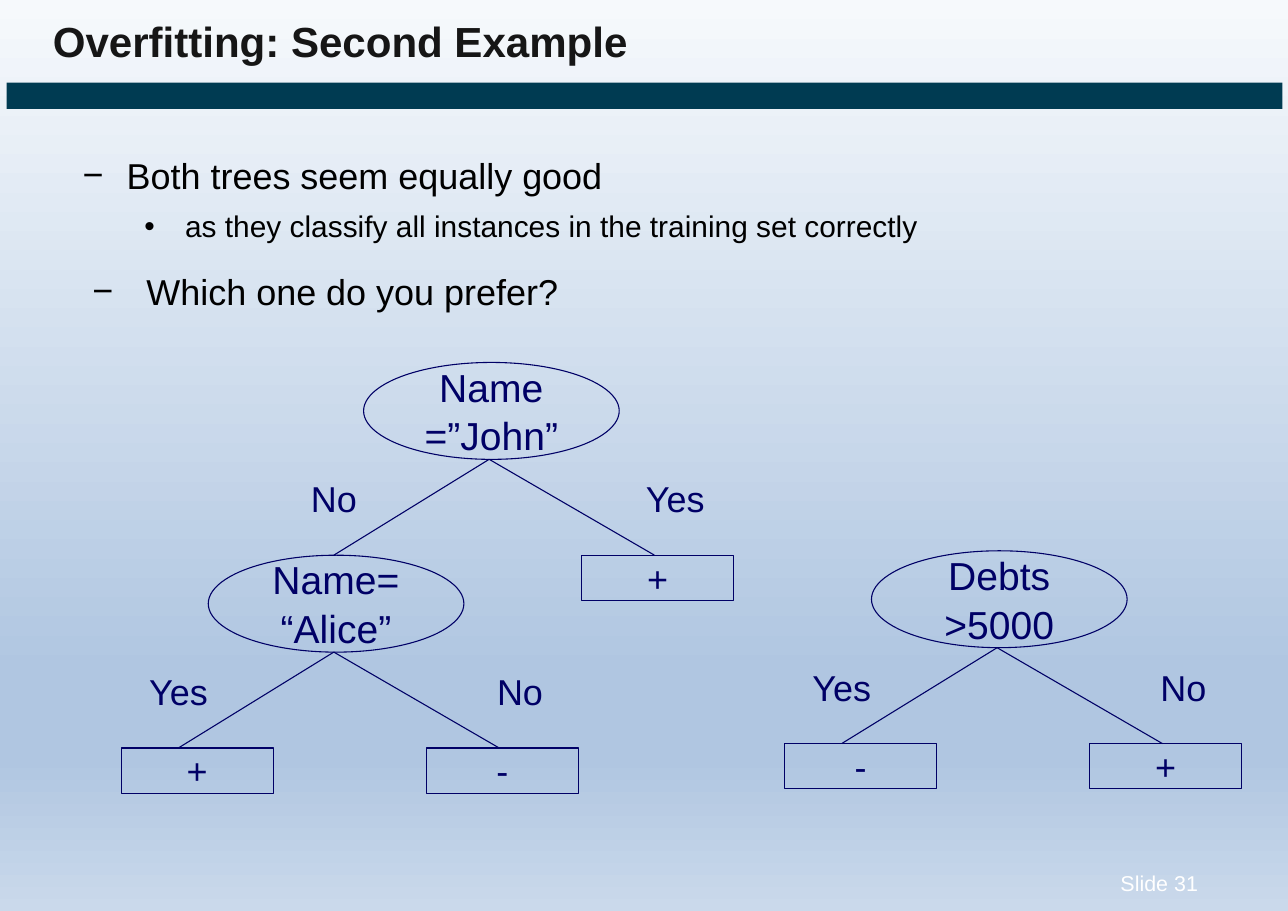
from lxml import etree
from pptx import Presentation
from pptx.dml.color import RGBColor
from pptx.enum.shapes import MSO_CONNECTOR, MSO_SHAPE
from pptx.enum.text import MSO_ANCHOR, PP_ALIGN
from pptx.oxml.ns import qn
from pptx.util import Inches, Pt

OVAL, RECT = MSO_SHAPE.OVAL, MSO_SHAPE.RECTANGLE
STRAIGHT = MSO_CONNECTOR.STRAIGHT
LEFT, CENTER = PP_ALIGN.LEFT, PP_ALIGN.CENTER
TOP, MIDDLE = MSO_ANCHOR.TOP, MSO_ANCHOR.MIDDLE

# Content
TITLE = "Overfitting: Second Example"
SLIDE_NUMBER = "Slide 31"
# text, level, size, space before, text indent, hanging indent, bullet
POINTS = [
    ("Both trees seem equally good", 0, 23.5, 0, 0.42, 0.4, "−"),
    ("as they classify all instances in the training set correctly",
     1, 19.5, 7.6, 0.95, 0.37, "•"),
    ("Which one do you prefer?", 0, 23.5, 17, 0.6, 0.49, "−"),
]
# test, left, top, (answer, leaf) on each side; None marks a subtree
TESTS = [
    (["Name", "=”John”"], 3.3, 3.29, [("No", None), ("Yes", "+")]),
    (["Name=", "“Alice”"], 1.89, 5.04, [("Yes", "+"), ("No", "-")]),
    (["Debts", ">5000"], 7.91, 5, [("Yes", "-"), ("No", "+")]),
]
BACKGROUND = [(0, "F6F9FC"), (74, "B0C6E1"), (83, "B0C6E1"), (100, "CAD9EB")]
NAVY, TEAL, INK, BLACK, WHITE = "000066", "003B52", "161616", "000000", "FFFFFF"

# Tree measures, relative to the top left corner of a test
TEST_W, TEST_H = 2.32, 0.88
LEAF_W, LEAF_H = 1.38, 0.41
LABEL_W, LABEL_H = 0.7, 0.42
LEVEL_DROP = 1.75
FORK_X, LABEL_Y = 1.14, 1.04
# branch end, label centre, leaf left
SIDES = [(-0.27, -0.27, -0.79), (2.64, 2.83, 1.98)]

prs = Presentation()
prs.slide_width, prs.slide_height = Inches(11.69), Inches(8.27)
slide = prs.slides.add_slide(prs.slide_layouts[6])


def color(hex_string):
    return RGBColor.from_string(hex_string)


def style(paragraph, size, ink, bold=False):
    font_format = {"name": "Arial", "size": Pt(size), "bold": bold}
    for key, value in font_format.items():
        setattr(paragraph.font, key, value)
    paragraph.font.color.rgb = color(ink)


def prepare(frame, anchor, wrap):
    frame_format = {"margin_left": 0, "margin_right": 0, "margin_top": 0,
                    "margin_bottom": 0, "vertical_anchor": anchor,
                    "word_wrap": wrap}
    for key, value in frame_format.items():
        setattr(frame, key, value)


def write(shape, lines, size, ink, align=CENTER, anchor=MIDDLE, bold=False):
    frame = shape.text_frame
    prepare(frame, anchor, False)
    for i, line in enumerate(lines):
        paragraph = frame.add_paragraph() if i else frame.paragraphs[0]
        paragraph.text = line
        paragraph.alignment = align
        if i:
            paragraph.space_before = Pt(1.2)
        style(paragraph, size, ink, bold)


def box(left, top, width, height):
    return slide.shapes.add_textbox(*map(Inches, (left, top, width, height)))


def outline(kind, left, top, width, height):
    shape = slide.shapes.add_shape(kind, *map(Inches, (left, top, width, height)))
    shape.shadow.inherit = False
    shape.fill.background()
    shape.line.color.rgb = color(NAVY)
    shape.line.width = Pt(0.72)
    return shape


def branch(x1, y1, x2, y2):
    line = slide.shapes.add_connector(STRAIGHT, *map(Inches, (x1, y1, x2, y2)))
    line.line.color.rgb = color(NAVY)
    line.line.width = Pt(0.72)
    etree.SubElement(line._element.spPr, qn("a:effectLst"))


# Background gradient
fill = slide.background.fill
fill.gradient()
fill.gradient_angle = 270
stops = slide._element.find(".//" + qn("a:gsLst"))
for stop in list(stops):
    stops.remove(stop)
for percent, tint in BACKGROUND:
    stop = etree.SubElement(stops, qn("a:gs"), pos=str(percent * 1000))
    etree.SubElement(stop, qn("a:srgbClr"), val=tint)

# Title and bar
bar = outline(RECT, 0.06, 0.75, 11.58, 0.24)
bar.fill.solid()
bar.fill.fore_color.rgb = color(TEAL)
bar.line.fill.background()
write(box(0.48, 0.14, 10.05, 0.5), [TITLE], 27.5, INK, LEFT, TOP, True)

# Points
points = box(0.73, 1.39, 9, 1.5).text_frame
prepare(points, TOP, True)
for i, (text, level, size, gap, indent, hanging, bullet) in enumerate(POINTS):
    point = points.add_paragraph() if i else points.paragraphs[0]
    point.text = text
    point.level = level
    point.space_before = Pt(gap)
    properties = point._p.get_or_add_pPr()
    properties.set("marL", str(Inches(indent)))
    properties.set("indent", str(-Inches(hanging)))
    etree.SubElement(properties, qn("a:buFont"), typeface="Arial")
    etree.SubElement(properties, qn("a:buChar"), char=bullet)
    style(point, size, BLACK)

# Decision trees
for test, left, top, answers in TESTS:
    write(outline(OVAL, left, top, TEST_W, TEST_H), test, 25.5, NAVY)
    for (answer, leaf), (end, middle, leaf_left) in zip(answers, SIDES):
        branch(left + FORK_X, top + TEST_H, left + end, top + LEVEL_DROP)
        label = box(left + middle - LABEL_W / 2, top + LABEL_Y, LABEL_W, LABEL_H)
        write(label, [answer], 23.5, NAVY, anchor=TOP)
        if leaf:
            leaf_box = outline(RECT, left + leaf_left, top + LEVEL_DROP,
                               LEAF_W, LEAF_H)
            write(leaf_box, [leaf], 23.5, NAVY)

# Slide number
write(box(10.17, 7.9, 0.77, 0.24), [SLIDE_NUMBER], 14, WHITE, LEFT, TOP)

prs.save("out.pptx")
